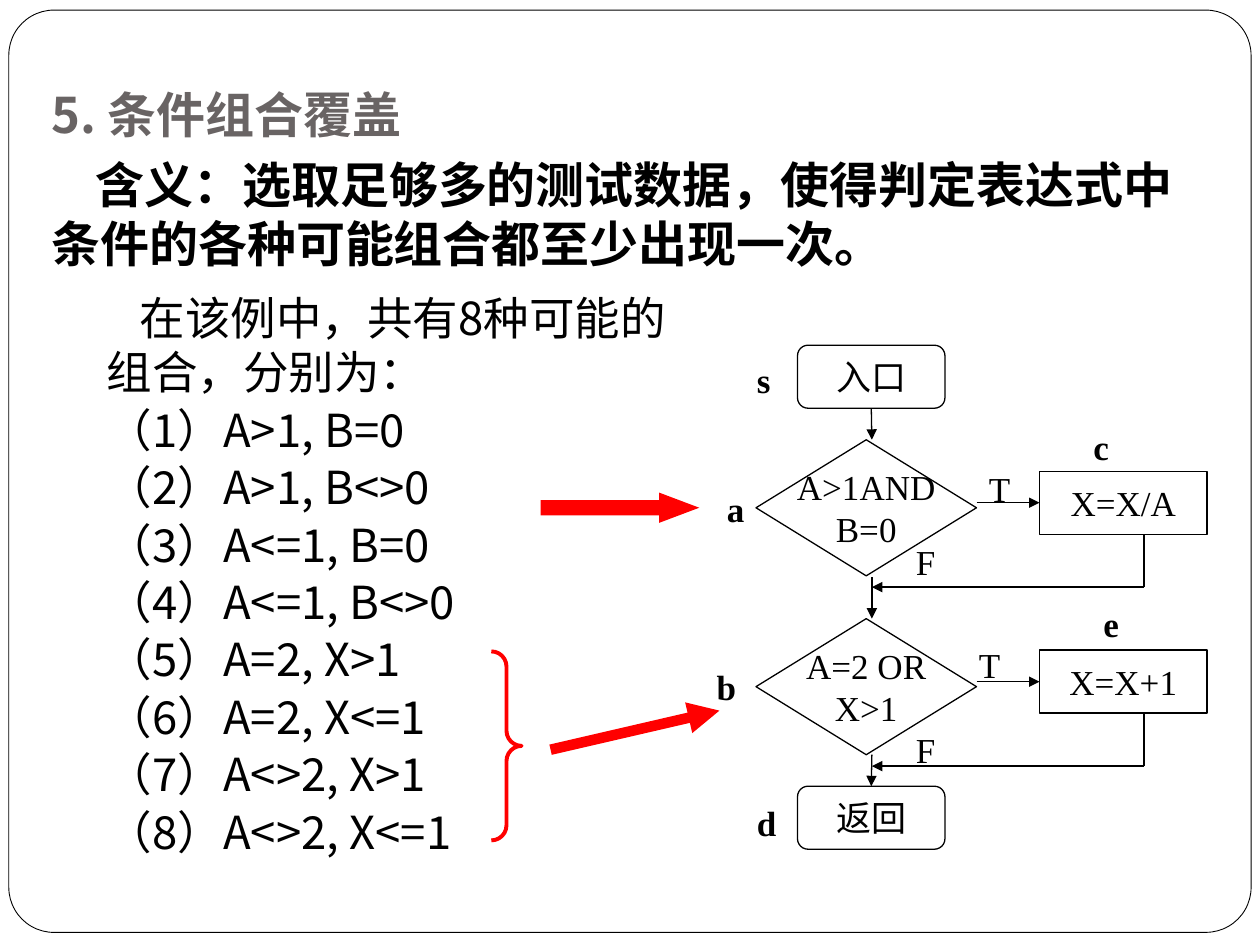
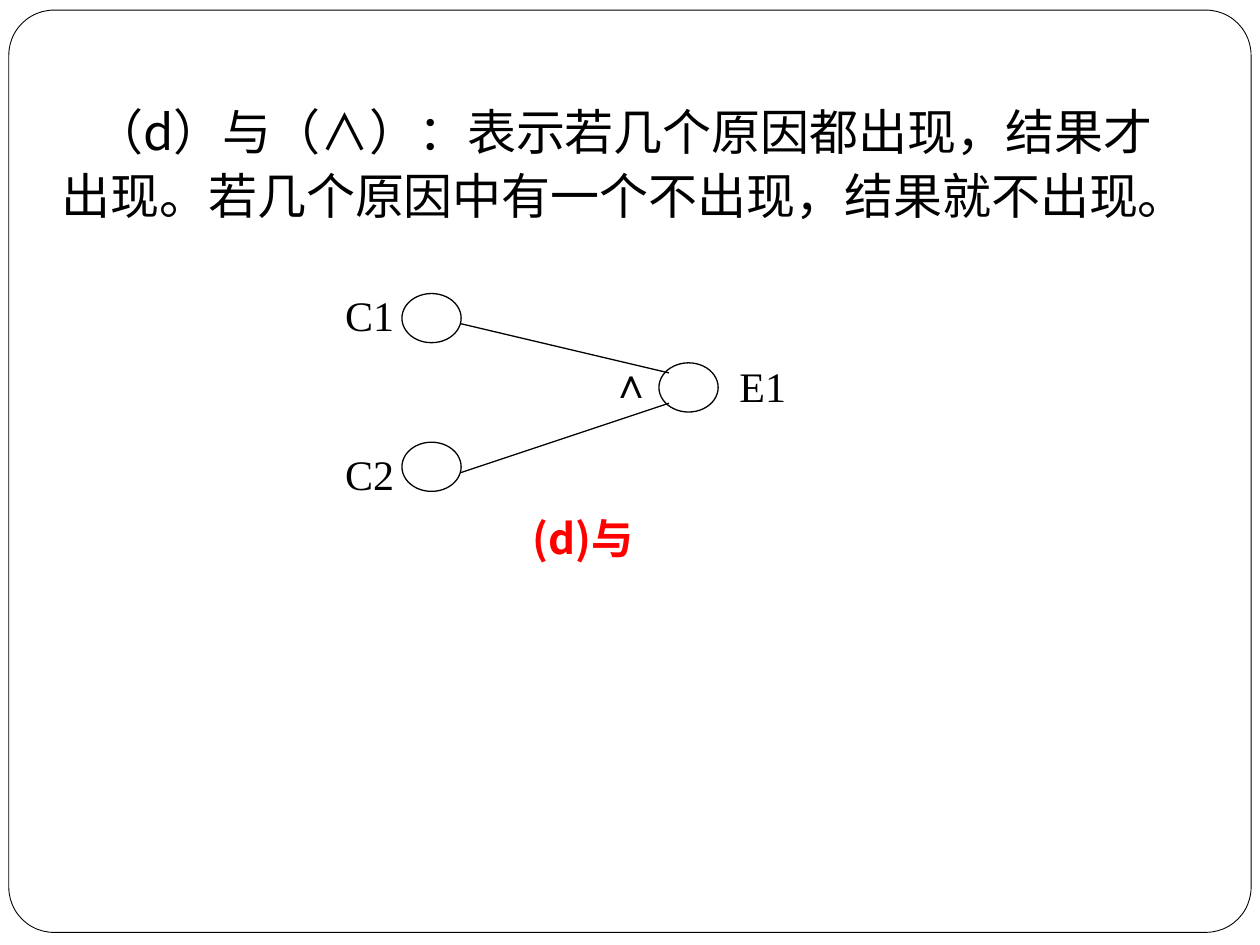
from lxml import etree
from pptx import Presentation
from pptx.dml.color import RGBColor
from pptx.enum.shapes import MSO_CONNECTOR as Link, MSO_SHAPE as Shape
from pptx.enum.text import MSO_ANCHOR as Anchor, MSO_AUTO_SIZE as Fit, PP_ALIGN as Align
from pptx.oxml.ns import qn
from pptx.util import Inches, Pt

COLORS = {"ink": "000000", "paper": "FFFFFF", "title": "696464", "accent": "FF0000"}
CJK, SERIF = "Noto Sans CJK SC", "Times New Roman"
HEADING = {"name": CJK, "size": Pt(28), "bold": True}
BODY = {"name": CJK, "size": Pt(28), "bold": False}
LISTING = {"name": CJK, "size": Pt(26), "bold": False}
CAPTION = {"name": CJK, "size": Pt(24), "bold": True}
NODE = {"name": SERIF, "size": Pt(20), "bold": False}
STATE = {"name": SERIF, "size": Pt(20), "bold": True}
CAUSE = {"name": SERIF, "size": Pt(24), "bold": False}

COMBINATIONS = ["A>1, B=0", "A>1, B<>0", "A<=1, B=0", "A<=1, B<>0",
                "A=2, X>1", "A=2, X<=1", "A<>2, X>1", "A<>2, X<=1"]


def rgb(color):
    """Return the palette colour of this name."""
    return RGBColor.from_string(COLORS[color])


def inches(*lengths):
    """Turn several lengths into Inches."""
    return [Inches(length) for length in lengths]


def write(frame, lines, style, color="ink", align=Align.LEFT, indent=0, gap=0, leading=1.2):
    """Fill a text frame with uniformly formatted paragraphs."""
    frame.text = "\n".join(lines)
    for number, paragraph in enumerate(frame.paragraphs):
        paragraph.alignment = align
        paragraph.space_before = Pt(gap if number else 0)
        if style["name"] == CJK:
            paragraph.line_spacing = Pt(round(style["size"].pt * leading, 1))
        if indent and not number:
            properties = paragraph._p.get_or_add_pPr()
            properties.set("marL", "0")
            properties.set("indent", str(Inches(indent)))
        for run in paragraph.runs:
            for attribute, value in style.items():
                setattr(run.font, attribute, value)
            run.font.color.rgb = rgb(color)
            east_asian = etree.SubElement(run._r.get_or_add_rPr(), qn("a:ea"))
            east_asian.set("typeface", CJK)


def add_passage(slide, box, lines, style, **options):
    """Add wrapping text in a box."""
    frame = slide.shapes.add_textbox(*inches(*box)).text_frame
    frame.word_wrap = True
    frame.margin_top = Inches(0.09)
    write(frame, lines, style, **options)


def add_label(slide, box, text, style, color="ink"):
    """Add a short label that keeps to one line."""
    frame = slide.shapes.add_textbox(*inches(*box)).text_frame
    frame.word_wrap = False
    frame.auto_size = Fit.SHAPE_TO_FIT_TEXT
    write(frame, [text], style, color)


def add_node(slide, kind, box, lines=(), fill="paper", line="ink", weight=0.75):
    """Add a filled and outlined shape with centred text."""
    node = slide.shapes.add_shape(kind, *inches(*box))
    node.shadow.inherit = False
    if fill:
        node.fill.solid()
        node.fill.fore_color.rgb = rgb(fill)
    else:
        node.fill.background()
    if line:
        node.line.color.rgb = rgb(line)
        node.line.width = Pt(weight)
    else:
        node.line.fill.background()
    if lines:
        node.text_frame.word_wrap = False
        node.text_frame.vertical_anchor = Anchor.MIDDLE
        write(node.text_frame, lines, NODE, align=Align.CENTER)
    return node


def add_line(slide, start, end, arrow=False, color="ink", weight=0.75):
    """Add a straight line, with an arrowhead at its end if wanted."""
    line = slide.shapes.add_connector(Link.STRAIGHT, *inches(*start, *end))
    line.line.color.rgb = rgb(color)
    line.line.width = Pt(weight)
    if arrow:
        head = etree.SubElement(line.line._get_or_add_ln(), qn("a:tailEnd"))
        head.set("type", "triangle")
    etree.SubElement(line._element.spPr, qn("a:effectLst"))
    return line


def add_frame(presentation, slide):
    """Put the rounded page frame behind everything on the master."""
    frame = add_node(slide, Shape.ROUNDED_RECTANGLE, (0.07, 0.08, 9.86, 7.32), weight=0.5)
    frame.adjustments[0] = 0.049
    presentation.slide_master.shapes._spTree.insert(2, frame._element)


def add_title(slide, box, text):
    """Place and format the title placeholder."""
    title = slide.shapes.title
    title.left, title.top, title.width, title.height = inches(*box)
    frame = title.text_frame
    frame.word_wrap = True
    frame.auto_size = Fit.NONE
    frame.vertical_anchor = Anchor.TOP
    frame.margin_top = Inches(0.09)
    write(frame, [text], HEADING, "title")


def add_flowchart(slide, left, top):
    """Draw the flowchart with its two decisions from its top left corner."""
    def at(x, y, *size):
        return (left + x, top + y, *size)

    entry, leave = [
        add_node(slide, Shape.FLOWCHART_ALTERNATE_PROCESS, at(0.33, y, 1.17, 0.5), [text])
        for y, text in ((0, "入口"), (3.5, "返回"))]
    decisions = [(["A>1AND", "B=0"], "X=X/A", (1.75, 0.17), 0.75),
                 (["A=2 OR", "X>1"], "X=X+1", (1.67, 0.15), 0.82)]
    flow_x, return_x, step = 0.92, 3.08, 1.42
    for number, (condition, action, yes, no_y) in enumerate(decisions):
        y = 0.75 + step * number
        add_node(slide, Shape.FLOWCHART_DECISION, at(0, y, 1.75, 1.08), condition)
        process = add_node(slide, Shape.FLOWCHART_PROCESS, at(2.25, y + 0.25, 1.33, 0.5), [action])
        branch = add_line(slide, at(1.75, y + 0.5), at(2.25, y + 0.5), arrow=True)
        branch.end_connect(process, 1)
        add_line(slide, at(return_x, y + 0.75), at(return_x, y + 1.17))
        add_line(slide, at(return_x, y + 1.17), at(flow_x, y + 1.17), arrow=True)
        add_label(slide, at(yes[0], y + yes[1], 0.37, 0.44), "T", NODE)
        add_label(slide, at(1.17, y + no_y, 0.35, 0.44), "F", NODE)

    add_line(slide, at(flow_x, 0.5), at(flow_x, 0.75), arrow=True).begin_connect(entry, 2)
    add_line(slide, at(flow_x, 1.84), at(flow_x, 2.17), arrow=True)
    add_line(slide, at(flow_x, 3.25), at(flow_x, 3.5), arrow=True).end_connect(leave, 0)
    states = {"s": (-0.09, 0.06), "a": (-0.33, 1.08), "b": (-0.41, 2.49),
              "d": (-0.09, 3.57), "c": (2.58, 0.59), "e": (2.66, 1.99)}
    for state, place in states.items():
        add_label(slide, at(*place, 0.33, 0.44), state, STATE)


def add_pointers(slide, left, top):
    """Draw the red arrows and brace that tie combinations to decisions."""
    arrow = add_node(slide, Shape.RIGHT_ARROW, (left + 0.39, top, 1.26, 0.24),
                     fill="accent", line=None)
    arrow.adjustments[1] = 1.325
    brace = add_node(slide, Shape.RIGHT_BRACE, (left, top + 1.26, 0.24, 1.5),
                     fill=None, line="accent", weight=2.25)
    brace.adjustments[0] = 0.5
    add_line(slide, (left + 0.47, top + 2.04), (left + 1.81, top + 1.73),
             arrow=True, color="accent", weight=6)


def add_cause_graph(slide, left, top):
    """Draw two causes joined by AND into one effect."""
    def at(x, y, *size):
        return (left + x, top + y, *size)

    for x, y in ((0.55, 0.08), (0.55, 1.26), (2.59, 0.63)):
        add_node(slide, Shape.OVAL, at(x, y, 0.47, 0.39))
    for start_y, end_y in ((0.32, 0.71), (1.5, 0.95)):
        add_line(slide, at(1.02, start_y), at(2.67, end_y))
    labels = [("C1", 0, 0, 0.59), ("C2", 0, 1.26, 0.59),
              ("∧", 2.11, 0.53, 0.44), ("E1", 3.13, 0.56, 0.57)]
    for text, x, y, width in labels:
        add_label(slide, at(x, y, width, 0.5), text, CAUSE)
    add_label(slide, at(1.49, 1.77, 1.21, 0.5), "(d)与", CAPTION, "accent")


def build_coverage(slide):
    """Build the slide on condition combination coverage."""
    add_title(slide, (0.31, 0.58, 4.06, 0.57), "5. 条件组合覆盖")
    add_flowchart(slide, 6, 2.74)
    combinations = [f"（{number}）{pair}" for number, pair in enumerate(COMBINATIONS, 1)]
    add_passage(slide, (0.75, 2.21, 4.64, 4.65),
                ["在该例中，共有8种可能的组合，分别为：", *combinations],
                LISTING, indent=0.26, gap=1.6)
    add_passage(slide, (0.31, 1.14, 9.42, 1.04),
                ["含义：选取足够多的测试数据，使得判定表达式中条件的各种可能组合都至少出现一次。"],
                HEADING, indent=0.35)
    add_pointers(slide, 3.9, 3.91)


def build_and_relation(slide):
    """Build the slide on the AND relation."""
    add_passage(slide, (0.39, 0.67, 9.1, 1.64),
                ["（d）与（∧）：表示若几个原因都出现，结果才出现。"
                 "若几个原因中有一个不出现，结果就不出现。"],
                BODY, indent=0.26, leading=1.31)
    add_cause_graph(slide, 2.64, 2.25)


def main():
    """Create the presentation and save it."""
    presentation = Presentation()
    presentation.slide_width, presentation.slide_height = inches(10, 7.5)
    title_only, blank = presentation.slide_layouts[5], presentation.slide_layouts[6]
    coverage = presentation.slides.add_slide(title_only)
    add_frame(presentation, coverage)
    build_coverage(coverage)
    build_and_relation(presentation.slides.add_slide(blank))
    presentation.save("out.pptx")


if __name__ == "__main__":
    main()
